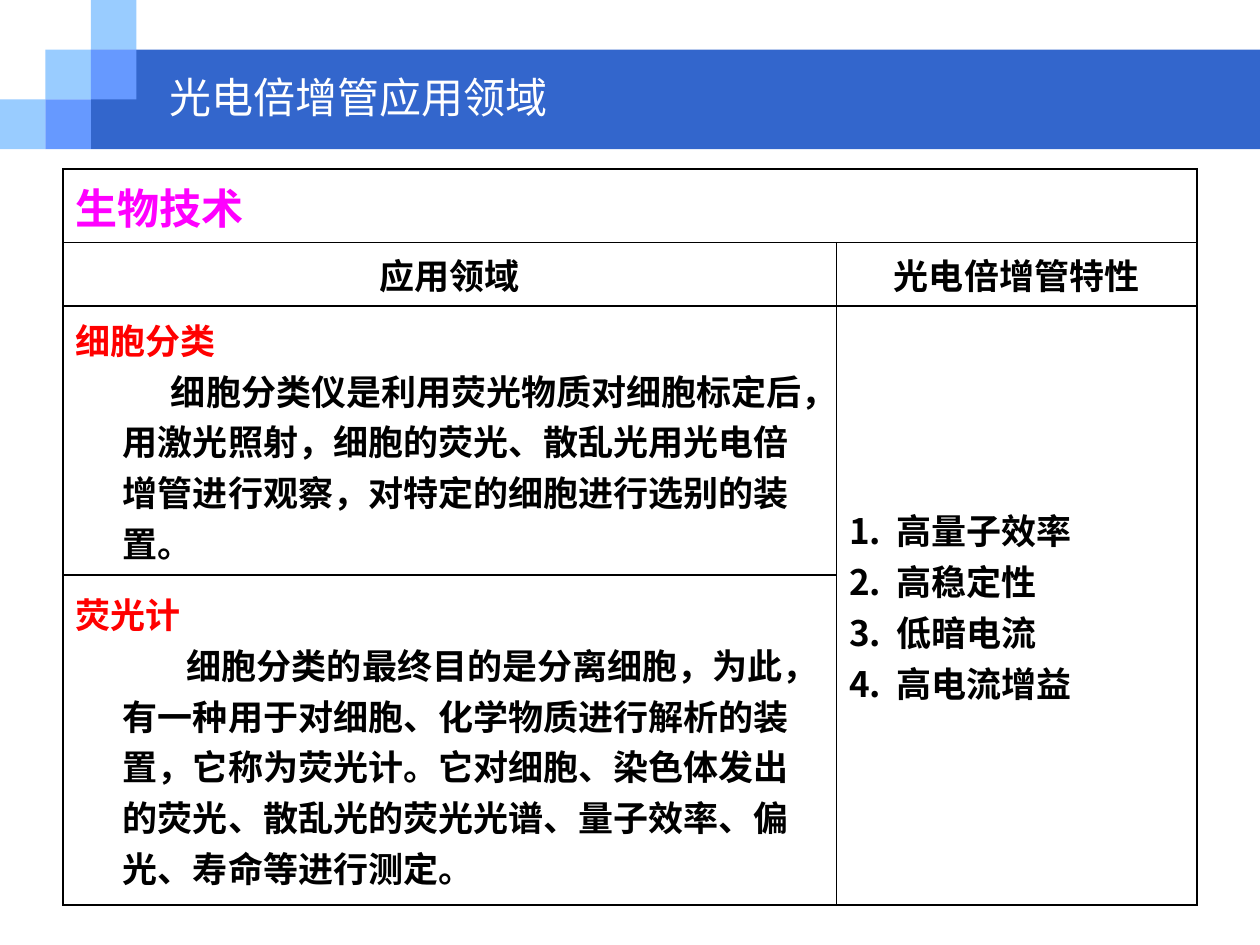
import pptx
import pptx.util
import pptx.dml.color
import pptx.enum.shapes
import pptx.enum.text
import pptx.oxml
import pptx.oxml.ns
from lxml import etree

Pt = pptx.util.Pt
ALIGN = pptx.enum.text.PP_ALIGN
MIDDLE = pptx.enum.text.MSO_ANCHOR.MIDDLE
COLORS = {
    "band": "3366CC", "light": "99CCFF", "mid": "6699FF", "white": "FFFFFF",
    "black": "000000", "topic": "FF00FF", "heading": "FF0000",
}
HANG = 27


def rgb(name):
    return pptx.dml.color.RGBColor.from_string(COLORS[name])


def sub(parent, tag, **attrs):
    return etree.SubElement(parent, pptx.oxml.ns.qn(tag), attrs)


class Deck:
    cjk = "Noto Sans CJK SC"
    latin = "Times New Roman"

    def __init__(self, prs):
        self.s = prs.slides.add_slide(prs.slide_layouts[6])

    def rect(self, x, y, w, h, color):
        sp = self.s.shapes.add_shape(
            pptx.enum.shapes.MSO_SHAPE.RECTANGLE, Pt(x), Pt(y), Pt(w), Pt(h))
        sp.shadow.inherit = False
        sp.fill.solid()
        sp.fill.fore_color.rgb = rgb(color)
        sp.line.fill.background()

    def run(self, p, text, size, color, bold=True, font=None):
        r = p.add_run()
        r.text = text
        r.font.size = Pt(size)
        r.font.bold = bold
        r.font.color.rgb = rgb(color)
        r.font.name = font or self.latin
        sub(r.font._element, "a:ea", typeface=self.cjk)

    def title(self, x, y, w, h, text):
        tf = self.s.shapes.add_textbox(Pt(x), Pt(y), Pt(w), Pt(h)).text_frame
        tf.word_wrap = True
        tf.vertical_anchor = MIDDLE
        self.run(tf.paragraphs[0], text, 24, "white", False, self.cjk)

    def table(self, x, y, widths, heights):
        frame = self.s.shapes.add_table(
            len(heights), len(widths), Pt(x), Pt(y), Pt(sum(widths)), Pt(sum(heights)))
        table = frame.table
        table.first_row = table.horz_banding = False
        for column, width in zip(table.columns, widths):
            column.width = Pt(width)
        for row, height in zip(table.rows, heights):
            row.height = Pt(height)
            for cell in row.cells:
                self.frame_cell(cell)
        return table

    def frame_cell(self, cell):
        cell.vertical_anchor = MIDDLE
        tc_pr = cell._tc.get_or_add_tcPr()
        for side in ("lnL", "lnR", "lnT", "lnB"):
            line = sub(tc_pr, "a:" + side, w=str(Pt(1)))
            sub(sub(line, "a:solidFill"), "a:srgbClr", val=COLORS["black"])
        cell.fill.solid()
        cell.fill.fore_color.rgb = rgb("white")

    def fill_cell(self, cell, items):
        """Write one paragraph per dict of text, size, color, align, left, first, numbered."""
        tf = cell.text_frame
        for i, item in enumerate(items):
            p = tf.add_paragraph() if i else tf.paragraphs[0]
            p.alignment = item.get("align", ALIGN.LEFT)
            p_pr = p._p.get_or_add_pPr()
            p_pr.set("marL", str(Pt(item.get("left", 0))))
            p_pr.set("indent", str(Pt(item.get("first", 0))))
            if item.get("numbered"):
                sub(p_pr, "a:buFont", typeface=self.cjk)
                sub(p_pr, "a:buAutoNum", type="arabicPeriod")
            self.run(p, item["text"], item.get("size", 20), item.get("color", "black"))


def main():
    prs = pptx.Presentation()
    prs.slide_width, prs.slide_height = Pt(720), Pt(540)
    deck = Deck(prs)

    tile_w, tile_h = 26, 28.4
    deck.rect(2 * tile_w, tile_h, 720 - 2 * tile_w, 2 * tile_h, "band")
    for col, row, color in ((0, 2, "light"), (1, 1, "light"), (2, 0, "light"),
                            (2, 1, "mid"), (1, 2, "mid")):
        deck.rect(col * tile_w, row * tile_h, tile_w, tile_h, color)
    deck.title(90, 36, 582, 38, "光电倍增管应用领域")

    table = deck.table(36, 96.5, (442, 206), (42.2, 36.2, 153.8, 188.6))
    table.cell(0, 0).merge(table.cell(0, 1))
    table.cell(2, 1).merge(table.cell(3, 1))
    deck.fill_cell(table.cell(0, 0), [{"text": "生物技术", "size": 24, "color": "topic"}])
    for col, text in enumerate(("应用领域", "光电倍增管特性")):
        deck.fill_cell(table.cell(1, col), [{"text": text, "align": ALIGN.CENTER}])

    fields = (
        ("细胞分类", 27.5, "细胞分类仪是利用荧光物质对细胞标定后，用激光照射，细胞的荧光、"
         "散乱光用光电倍增管进行观察，对特定的细胞进行选别的装置。"),
        ("荧光计", 36.5, "细胞分类的最终目的是分离细胞，为此，有一种用于对细胞、化学物质"
         "进行解析的装置，它称为荧光计。它对细胞、染色体发出的荧光、散乱光的荧光光谱、"
         "量子效率、偏光、寿命等进行测定。"),
    )
    for row, (heading, first, body) in enumerate(fields, 2):
        deck.fill_cell(table.cell(row, 0), [
            {"text": heading, "color": "heading", "left": HANG, "first": -HANG},
            {"text": body, "left": HANG, "first": first},
        ])
    deck.fill_cell(table.cell(2, 1), [
        {"text": text, "left": HANG, "first": -HANG, "numbered": True}
        for text in ("高量子效率", "高稳定性", "低暗电流", "高电流增益")])

    prs.save("out.pptx")


if __name__ == "__main__":
    main()
